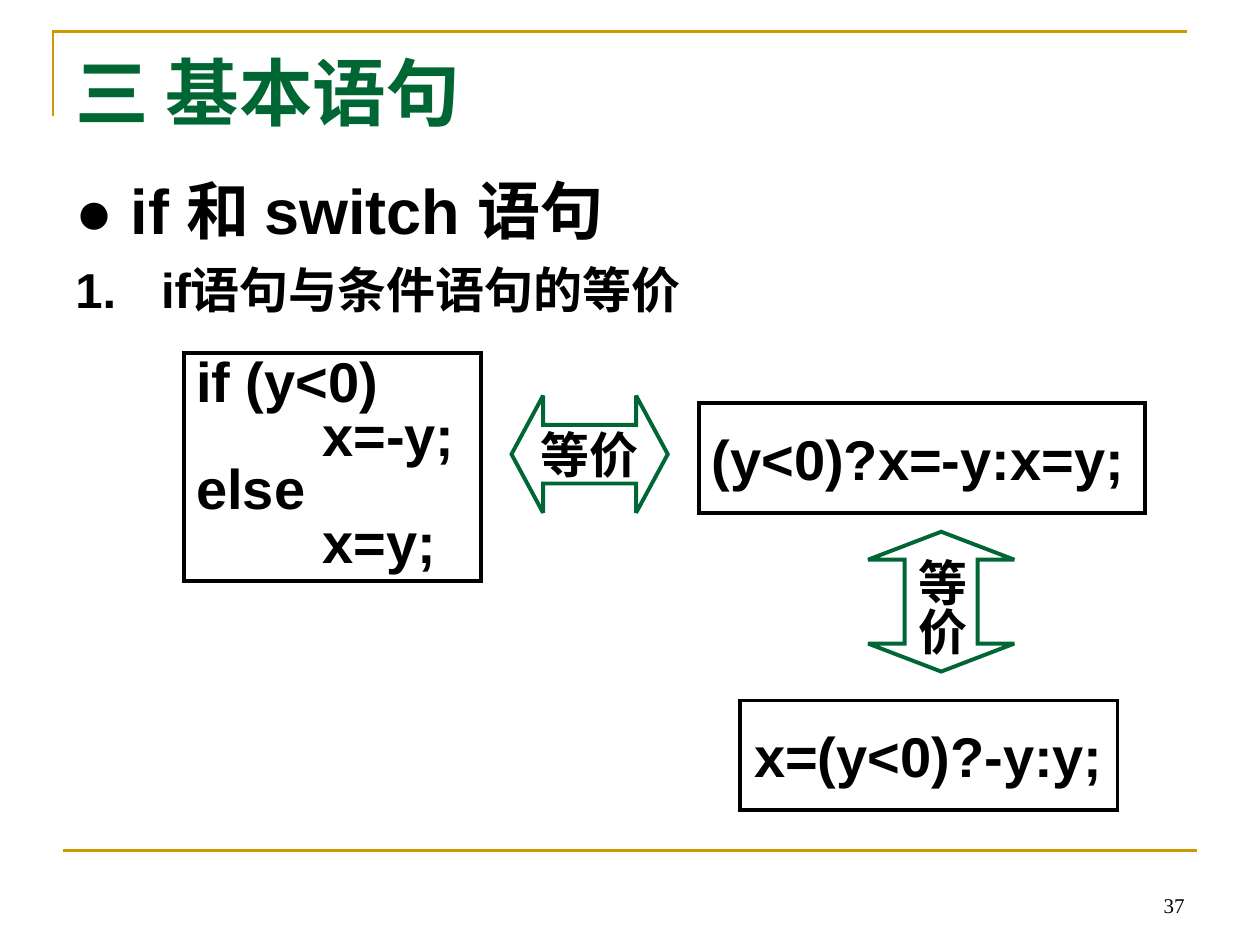
"""Build a slide on the equivalence of if statements and conditional expressions."""
from dataclasses import dataclass

from lxml.etree import SubElement
from pptx import Presentation
from pptx.dml.color import RGBColor
from pptx.enum.shapes import MSO_CONNECTOR as Link, MSO_SHAPE as Kind
from pptx.enum.text import MSO_ANCHOR as Anchor, MSO_AUTO_SIZE as Fit, PP_ALIGN as Align
from pptx.oxml.ns import qn
from pptx.util import Inches, Pt

BLACK = RGBColor(0x00, 0x00, 0x00)
GREEN = RGBColor(0x00, 0x66, 0x33)
GOLD = RGBColor(0xCC, 0x99, 0x00)


@dataclass
class Node:
    kind: Kind
    area: tuple[float, float, float, float]
    text: str
    size: int = 32
    line: RGBColor = BLACK
    align: Align = Align.LEFT
    pitch: float = 1.0
    wrap: bool = True
    tall: bool = False
    adjust: tuple[float, ...] = ()


NODES = [
    Node(Kind.RECTANGLE, (1.46, 2.8, 2.36, 1.81),
         "if (y<0)\n\tx=-y;\nelse\n\tx=y;", pitch=0.8),
    Node(Kind.RECTANGLE, (5.55, 3.2, 3.54, 0.87), "(y<0)?x=-y:x=y;"),
    Node(Kind.LEFT_RIGHT_ARROW, (4.06, 3.14, 1.24, 0.93), "等价", 28, GREEN,
         Align.CENTER, wrap=False, adjust=(0.5, 0.27)),
    Node(Kind.UP_DOWN_ARROW, (6.89, 4.22, 1.16, 1.11), "等价", 28, GREEN,
         Align.CENTER, wrap=False, tall=True, adjust=(0.5, 0.2)),
    Node(Kind.RECTANGLE, (5.87, 5.56, 3, 0.87), "x=(y<0)?-y:y;", align=Align.CENTER),
]


def style(para, size: float, color: RGBColor = BLACK, face: str = "Arial",
          bold: bool = True, align: Align = Align.LEFT) -> None:
    """Format a paragraph and its runs."""
    para.alignment = align
    for run in para.runs:
        font = run.font
        font.name, font.size, font.bold = face, Pt(size), bold
        font.color.rgb = color


def stroke(shape, color: RGBColor, width: float) -> None:
    """Set a shape's outline with sharp corners."""
    shape.line.color.rgb = color
    shape.line.width = Pt(width)
    SubElement(shape._element.spPr.find(qn("a:ln")), qn("a:miter"), lim="800000")


def bend(shape, values: tuple[float, ...]) -> None:
    """Write the adjust values of a preset shape."""
    guides = shape._element.spPr.find(qn("a:prstGeom")).find(qn("a:avLst"))
    for guide in list(guides):
        guides.remove(guide)
    for index, value in enumerate(values, 1):
        SubElement(guides, qn("a:gd"), name=f"adj{index}",
                   fmla=f"val {round(value * 100000)}")


def add_tab(para, place: float) -> None:
    """Add a left tab stop."""
    tabs = SubElement(para._p.get_or_add_pPr(), qn("a:tabLst"))
    SubElement(tabs, qn("a:tab"), pos=str(Inches(place)), algn="l")


def draw_node(slide, node: Node) -> None:
    """Draw an outlined shape with its text."""
    shape = slide.shapes.add_shape(node.kind, *map(Inches, node.area))
    shape.shadow.inherit = False
    shape.fill.background()
    stroke(shape, node.line, 2.25)
    if node.adjust:
        bend(shape, node.adjust)
    frame = shape.text_frame
    frame.text = node.text
    frame.word_wrap = node.wrap
    frame.vertical_anchor = Anchor.MIDDLE
    if node.tall:
        frame.margin_left = frame.margin_right = Inches(0.05)
        frame.margin_top = frame.margin_bottom = Inches(0.1)
        frame._txBody.bodyPr.set("vert", "eaVert")
    for para in frame.paragraphs:
        if para.text.startswith("\t"):
            add_tab(para, 1)
        para.line_spacing = node.pitch
        style(para, node.size, align=node.align)


def draw_frame(slide) -> None:
    """Draw the gold corner and the footer rule."""
    pen = slide.shapes.build_freeform(Inches(0.42), Inches(0.92))
    pen.add_line_segments([(Inches(0.42), Inches(0.25)),
                           (Inches(9.42), Inches(0.25))], close=False)
    edge = pen.convert_to_shape()
    edge.shadow.inherit = False
    edge.fill.background()
    rule = slide.shapes.add_connector(
        Link.STRAIGHT, Inches(0.5), Inches(6.75), Inches(9.5), Inches(6.75))
    for shape in (edge, rule):
        stroke(shape, GOLD, 1.5)
    SubElement(rule._element.spPr, qn("a:effectLst"))


def draw_title(slide) -> None:
    """Place and format the title."""
    title = slide.shapes.title
    title.left, title.top = Inches(0.5), Inches(0.3)
    title.width, title.height = Inches(9), Inches(0.85)
    frame = title.text_frame
    frame.text = "三 基本语句"
    frame.auto_size = Fit.NONE
    frame.vertical_anchor = Anchor.MIDDLE
    style(frame.paragraphs[0], 42, GREEN)


def add_text(slide, area: tuple[float, float, float, float], text: str):
    """Add a wrapping text box and return its frame."""
    frame = slide.shapes.add_textbox(*map(Inches, area)).text_frame
    frame.word_wrap = True
    frame.text = text
    return frame


def draw_body(slide) -> None:
    """Draw the heading and the numbered point."""
    frame = add_text(slide, (0.5, 1.31, 9, 5.4),
                     "● if 和 switch 语句\nif语句与条件语句的等价")
    head, point = frame.paragraphs
    for para in (head, point):
        props = para._p.get_or_add_pPr()
        props.set("marL", str(Inches(0.68)))
        props.set("indent", str(-Inches(0.68)))
    point.space_before = Pt(7)
    SubElement(point._p.pPr, qn("a:buFont"), typeface="Arial")
    SubElement(point._p.pPr, qn("a:buAutoNum"), type="arabicPeriod")
    style(head, 36)
    style(point, 28)


def main() -> None:
    """Build and save the slide."""
    deck = Presentation()
    deck.slide_width, deck.slide_height = Inches(10), Inches(7.5)
    slide = deck.slides.add_slide(deck.slide_layouts[5])
    draw_frame(slide)
    draw_title(slide)
    draw_body(slide)
    for node in NODES:
        draw_node(slide, node)
    number = add_text(slide, (7.17, 6.83, 2.33, 0.5), "37")
    number.vertical_anchor = Anchor.BOTTOM
    style(number.paragraphs[0], 12, face="Times New Roman", bold=False, align=Align.RIGHT)
    deck.save("out.pptx")


if __name__ == "__main__":
    main()
